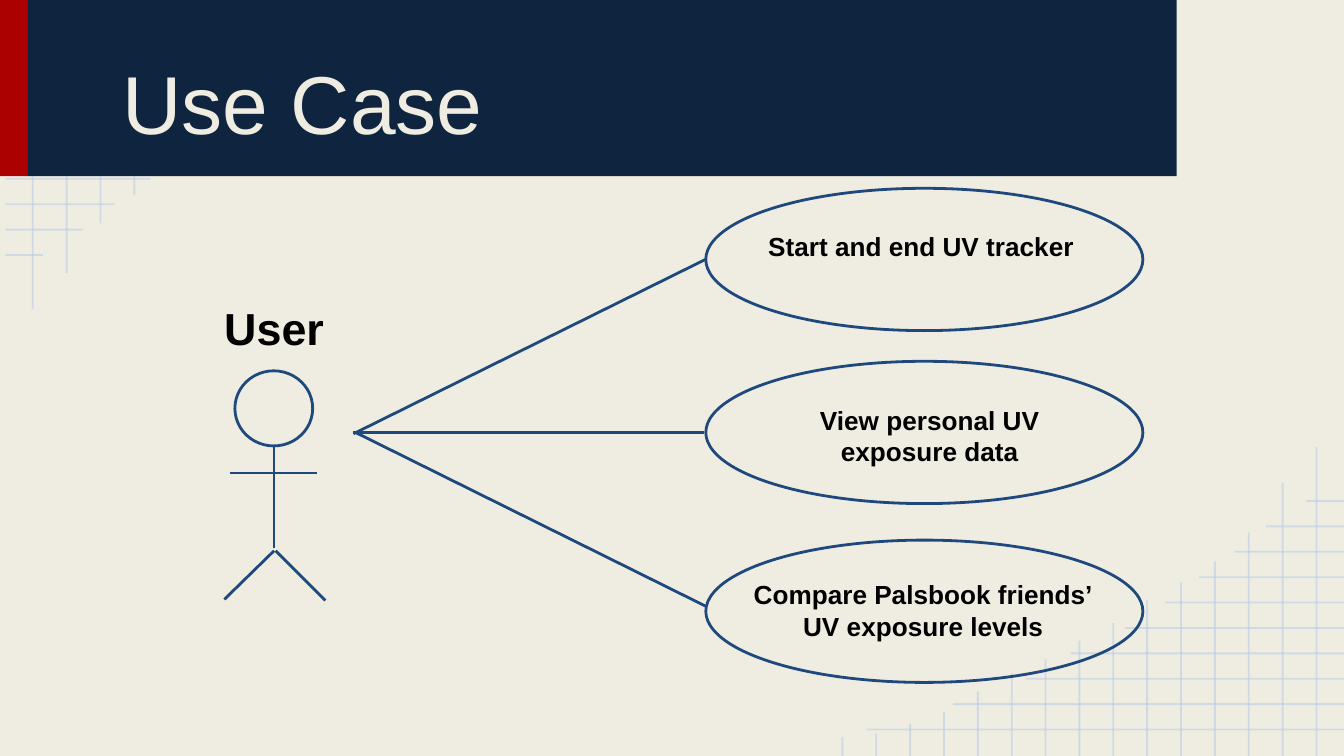
import pptx
import pptx.dml.color
import pptx.enum.shapes
import pptx.enum.text
import pptx.oxml.ns
import pptx.util
from lxml import etree

Cm = pptx.util.Cm
Pt = pptx.util.Pt
SHAPE = pptx.enum.shapes.MSO_SHAPE
ALIGN = pptx.enum.text.PP_ALIGN
ANCHOR = pptx.enum.text.MSO_ANCHOR
qn = pptx.oxml.ns.qn

CREAM, NAVY, RED = "EFEDE2", "0F243E", "AB0101"
BLUE, GRID, BLACK = "1F497D", "B7CCE4", "000000"
WIDTH, HEIGHT = 25.4, 14.29
GRID_ROWS = [9.02, 7.39, 6.02, 5.16, 4.14, 3.38, 2.74, 2.06, 1.47, 0.71]
GRID_COLUMNS = [5.84, 5.16, 4.22, 3.68, 3.28, 2.95, 2.51, 2.18,
                1.83, 1.57, 1.22, 0.84, 0.61, 0.43, 0.36]
OVAL_LEFT, OVAL_WIDTH, OVAL_HEIGHT = 13.34, 8.26, 2.69
USE_CASES = [
    (3.56, (14.27, 4.11, 6.6, 1.68), ["Start and end UV tracker"], ALIGN.LEFT),
    (6.83, (14.27, 7.39, 6.6, 1.68), ["View personal UV exposure data"], ALIGN.CENTER),
    (10.21, (13.69, 10.69, 7.52, 1.68),
     ["Compare Palsbook friends’", "UV exposure levels"], ALIGN.CENTER),
]
BODY = [(5.18, 8.43, 5.18, 10.36), (4.34, 8.94, 5.99, 8.94),
        (5.18, 10.41, 4.24, 11.33), (5.21, 10.41, 6.15, 11.35)]
LINKS = [(6.68, 8.2, 13.34, 4.9), (6.68, 8.18, 13.31, 8.18), (6.73, 8.18, 13.34, 11.46)]


def rgb(value):
    return pptx.dml.color.RGBColor.from_string(value)


class Canvas:
    """Holds the style and the current slide, and draws each kind of element."""

    font = "Arial"
    inset = 0.25

    def __init__(self, prs):
        self.s = prs.slides.add_slide(prs.slide_layouts[6])
        fill = self.s.background.fill
        fill.solid()
        fill.fore_color.rgb = rgb(CREAM)

    def line(self, x1, y1, x2, y2, color=BLUE, width=1.5, alpha=None):
        cn = self.s.shapes.add_connector(
            pptx.enum.shapes.MSO_CONNECTOR.STRAIGHT, Cm(x1), Cm(y1), Cm(x2), Cm(y2))
        cn.line.color.rgb = rgb(color)
        cn.line.width = Pt(width)
        sp_pr = cn._element.spPr
        if alpha is not None:
            clr = sp_pr.find(".//" + qn("a:srgbClr"))
            etree.SubElement(clr, qn("a:alpha")).set("val", str(alpha * 1000))
        etree.SubElement(sp_pr, qn("a:effectLst"))

    def shape(self, kind, x, y, w, h, fill=None, line=None):
        sp = self.s.shapes.add_shape(kind, Cm(x), Cm(y), Cm(w), Cm(h))
        sp.shadow.inherit = False
        if fill:
            sp.fill.solid()
            sp.fill.fore_color.rgb = rgb(fill)
        else:
            sp.fill.background()
        if line:
            sp.line.color.rgb = rgb(line)
            sp.line.width = Pt(1.5)
        else:
            sp.line.fill.background()

    def text(self, box, lines, size, color=BLACK, bold=True, align=ALIGN.CENTER,
             anchor=ANCHOR.TOP, indent=0):
        tf = self.s.shapes.add_textbox(*map(Cm, box)).text_frame
        tf.word_wrap = True
        tf.vertical_anchor = anchor
        tf.margin_left = tf.margin_right = Cm(self.inset)
        tf.margin_top = tf.margin_bottom = Cm(self.inset)
        tf.text = "\n".join(lines)
        for p in tf.paragraphs:
            p.alignment = align
            p.font.name = self.font
            p.font.size = Pt(size)
            p.font.bold = bold
            p.font.color.rgb = rgb(color)
            if indent:
                p._p.get_or_add_pPr().set("indent", str(Cm(indent)))

    def corner_grid(self, opposite=False):
        rows = [(0.1, 0.5 + 0.48 * i, 0.1 + length, 0.5 + 0.48 * i)
                for i, length in enumerate(GRID_ROWS)]
        columns = [(0.62 + 0.64 * i, length, 0.62 + 0.64 * i, 0)
                   for i, length in enumerate(GRID_COLUMNS)]
        for x1, y1, x2, y2 in rows + columns:
            if opposite:
                x1, x2 = WIDTH + 0.1 - x1, WIDTH + 0.1 - x2
                y1, y2 = HEIGHT - y1, HEIGHT - y2
            self.line(x1, y1, x2, y2, GRID, 1, alpha=54)


def main():
    prs = pptx.Presentation()
    prs.slide_width, prs.slide_height = Cm(WIDTH), Cm(HEIGHT)
    c = Canvas(prs)

    c.corner_grid()
    c.corner_grid(opposite=True)
    c.shape(SHAPE.RECTANGLE, 0, -0.03, 0.53, 3.36, fill=RED)
    c.shape(SHAPE.RECTANGLE, 0.53, -0.03, 21.71, 3.36, fill=NAVY)
    c.text((1.27, 0.28, 20.32, 2.82), ["Use Case"], 44, CREAM, bold=False,
           align=ALIGN.LEFT, anchor=ANCHOR.BOTTOM, indent=0.79)

    c.shape(SHAPE.OVAL, 4.44, 7.01, 1.47, 1.42, line=BLUE)
    for ends in BODY + LINKS:
        c.line(*ends)
    c.text((3.58, 5.44, 3.2, 1.19), ["User"], 24)

    for top, box, lines, align in USE_CASES:
        c.shape(SHAPE.OVAL, OVAL_LEFT, top, OVAL_WIDTH, OVAL_HEIGHT, line=BLUE)
        c.text(box, lines, 14, align=align)

    prs.save("out.pptx")


if __name__ == "__main__":
    main()
